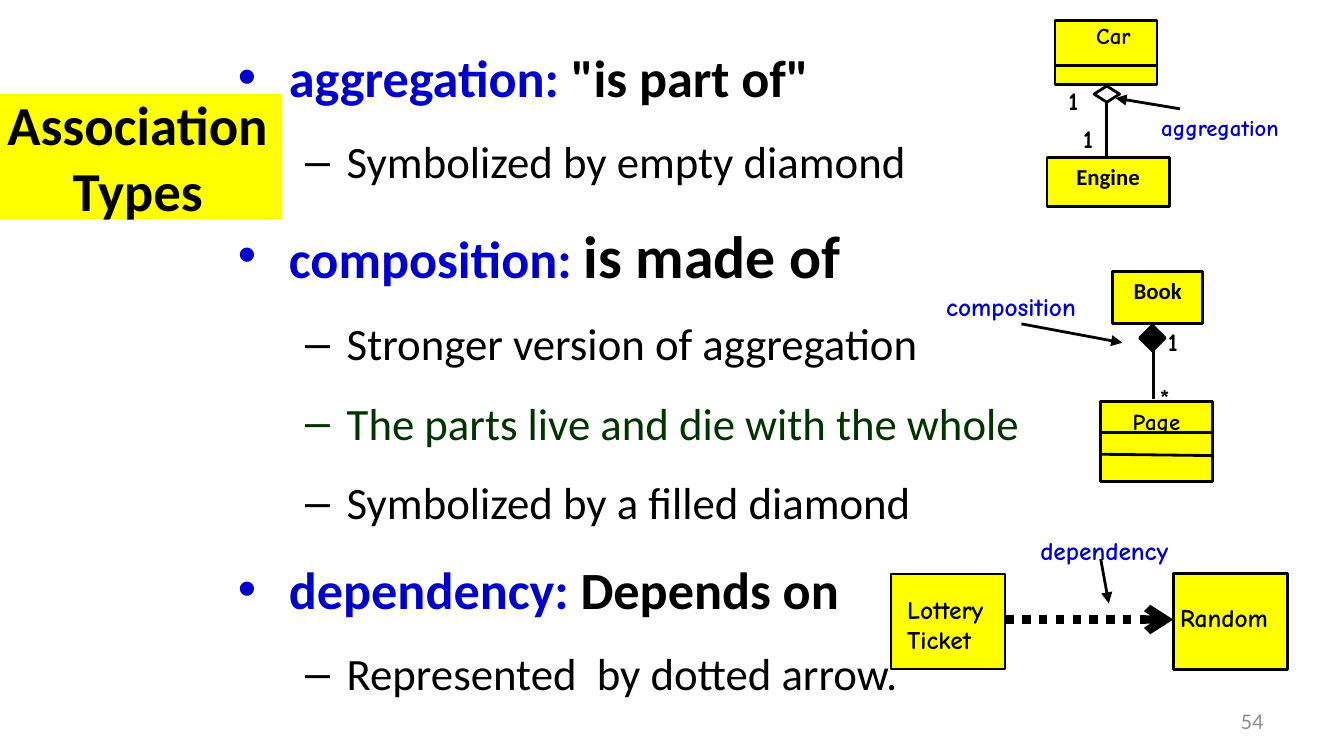
import pptx
import pptx.util
import pptx.dml.color
import pptx.enum.dml
import pptx.enum.shapes
import pptx.enum.text
import pptx.oxml.ns
from lxml import etree

Inches, Pt = pptx.util.Inches, pptx.util.Pt
Align, Anchor = pptx.enum.text.PP_ALIGN, pptx.enum.text.MSO_ANCHOR
Shape = pptx.enum.shapes.MSO_SHAPE
BLACK, BLUE, GREEN, YELLOW = "000000", "0000CC", "003300", "FFFF00"
HAND = "Comic Neue"


def rgb(code):
    return pptx.dml.color.RGBColor.from_string(code)


def style(part, size, color, face="Calibri", bold=True):
    """Format the font of a paragraph or run."""
    font = part.font
    font.name, font.size, font.bold = face, Pt(size), bold
    font.color.rgb = rgb(color)


deck = pptx.Presentation()
deck.slide_width = Inches(10)
deck.slide_height = Inches(10) * 9 // 16
slide = deck.slides.add_slide(deck.slide_layouts[1])

# Title
title, body = slide.placeholders
title.left, title.top = Inches(-0.05), Inches(0.7)
title.width, title.height = Inches(2.15), Inches(0.93)
title.fill.solid()
title.fill.fore_color.rgb = rgb(YELLOW)
frame = title.text_frame
frame.text = "Association Types"
frame.auto_size = pptx.enum.text.MSO_AUTO_SIZE.NONE
frame.vertical_anchor = Anchor.MIDDLE
frame.paragraphs[0].alignment = Align.CENTER
style(frame.paragraphs[0], 29.4, BLACK)

# List: level, then runs of text, size and colour
items = [
    (0, [("aggregation: ", 28, BLUE), ('"is part of"', 28, BLACK)]),
    (1, [("Symbolized by empty diamond", 24, BLACK)]),
    (0, [("composition: ", 28, BLUE), ("is made of", 32, BLACK)]),
    (1, [("Stronger version of aggregation", 24, BLACK)]),
    (1, [("The parts live and die with the whole", 24, GREEN)]),
    (1, [("Symbolized by a filled diamond", 24, BLACK)]),
    (0, [("dependency: ", 28, BLUE), ("Depends on", 28, BLACK)]),
    (1, [("Represented  by dotted arrow.", 24, BLACK)]),
]
body.left, body.top = Inches(1.67), Inches(0.24)
body.width, body.height = Inches(6.33), Inches(4.31)
frame = body.text_frame
frame.auto_size = pptx.enum.text.MSO_AUTO_SIZE.NONE
for i, (level, runs) in enumerate(items):
    para = frame.add_paragraph() if i else frame.paragraphs[0]
    para.level = level
    para.line_spacing = 1.1
    para.space_before = Pt(0.2 * runs[-1][1] + 0.2 if i else 0)
    para.space_after = Pt(6)
    left, hang = [(0.38, 0.38), (0.81, 0.31)][level]
    props = para._p.get_or_add_pPr()
    props.set("marL", str(Inches(left)))
    props.set("indent", str(-Inches(hang)))
    for text, size, color in runs:
        run = para.add_run()
        run.text = text
        style(run, size, color, bold=level == 0)

# Class boxes and diamonds: kind, place, fill, line width, name, font
boxes = [
    (Shape.RECTANGLE, 7.85, 0.15, 0.76, 0.48, YELLOW, 1.5, "Car", HAND),
    (Shape.RECTANGLE, 7.79, 1.17, 0.91, 0.37, YELLOW, 1.5, "Engine", "Calibri"),
    (Shape.RECTANGLE, 8.28, 2.02, 0.67, 0.39, YELLOW, 1.5, "Book", "Calibri"),
    (Shape.RECTANGLE, 8.19, 2.99, 0.83, 0.59, YELLOW, 1.5, "Page", HAND),
    (Shape.RECTANGLE, 6.63, 4.27, 0.85, 0.71, YELLOW, 1, "", HAND),
    (Shape.RECTANGLE, 8.73, 4.27, 0.85, 0.71, YELLOW, 1.5, "", HAND),
    (Shape.DIAMOND, 8.14, 0.64, 0.19, 0.12, None, 1.5, "", HAND),
    (Shape.DIAMOND, 8.48, 2.42, 0.19, 0.19, BLACK, 1.5, "", HAND),
]
for kind, x, y, w, h, fill, width, name, face in boxes:
    box = slide.shapes.add_shape(kind, Inches(x), Inches(y), Inches(w), Inches(h))
    box.shadow.inherit = False
    if fill:
        box.fill.solid()
        box.fill.fore_color.rgb = rgb(fill)
    else:
        box.fill.background()
    box.line.color.rgb = rgb(BLACK)
    box.line.width = Pt(width)
    if name:
        frame = box.text_frame
        frame.vertical_anchor = Anchor.TOP
        frame.margin_left = Inches(0.18 if name == "Car" else 0.07)
        frame.margin_right = Inches(0.07)
        frame.margin_top = frame.margin_bottom = Inches(0.04)
        para = frame.paragraphs[0]
        para.text = name
        para.alignment = Align.CENTER
        para.line_spacing = 0.88 if name == "Car" else 1.0
        style(para, 12.2, BLACK, face)

# Lines: start, end, width, arrowhead
lines = [
    (7.85, 0.49, 8.61, 0.49, 1.5, None),
    (8.23, 0.77, 8.23, 1.17, 1.5, None),
    (8.78, 0.81, 8.3, 0.73, 1.5, "triangle"),
    (8.19, 3.22, 9.02, 3.22, 1.5, None),
    (8.19, 3.38, 9.02, 3.39, 1.5, None),
    (8.58, 2.61, 8.58, 2.97, 1.5, None),
    (7.6, 2.41, 8.35, 2.55, 1.5, "triangle"),
    (7.48, 4.61, 8.73, 4.61, 4.5, "arrow"),
    (8.19, 4.16, 8.25, 4.49, 1.5, "triangle"),
]
for *ends, width, head in lines:
    link = slide.shapes.add_connector(
        pptx.enum.shapes.MSO_CONNECTOR.STRAIGHT, *map(Inches, ends))
    link.line.color.rgb = rgb(BLACK)
    link.line.width = Pt(width)
    if head == "arrow":
        link.line.dash_style = pptx.enum.dml.MSO_LINE.ROUND_DOT
    if head:
        tail = etree.SubElement(link.line._ln, pptx.oxml.ns.qn("a:tailEnd"))
        tail.set("type", head)
    etree.SubElement(link._element.spPr, pptx.oxml.ns.qn("a:effectLst"))

# Labels: place, text, size, colour
labels = [
    (7.88, 0.59, 0.3, 0.3, "1", 13.6, BLACK),
    (7.99, 0.88, 0.3, 0.3, "1", 13.6, BLACK),
    (8.62, 2.39, 0.3, 0.3, "1", 13.6, BLACK),
    (8.56, 2.8, 0.3, 0.3, "*", 13.6, BLACK),
    (8.57, 0.81, 1.18, 0.28, "aggregation", 12.2, BLUE),
    (6.97, 2.13, 1.35, 0.3, "composition", 13.6, BLUE),
    (7.67, 3.94, 1.22, 0.3, "dependency", 13.6, BLUE),
    (6.68, 4.38, 0.87, 0.53, "Lottery\nTicket", 13.6, BLACK),
    (8.71, 4.44, 0.98, 0.3, "Random", 13.6, BLACK),
]
for x, y, w, h, text, size, color in labels:
    label = slide.shapes.add_textbox(Inches(x), Inches(y), Inches(w), Inches(h))
    frame = label.text_frame
    frame.word_wrap = True
    frame.margin_left = frame.margin_right = Inches(0.07)
    frame.margin_top = frame.margin_bottom = Inches(0.04)
    para = frame.paragraphs[0]
    para.text = text
    style(para, size, color, HAND)

# Slide number
number = slide.shapes.add_textbox(Inches(7.17), Inches(5.21), Inches(2.33), Inches(0.3))
frame = number.text_frame
frame.word_wrap = True
frame.vertical_anchor = Anchor.MIDDLE
para = frame.paragraphs[0]
para.text = "54"
para.alignment = Align.RIGHT
style(para, 12, "8C8C8C", bold=False)

deck.save("out.pptx")
